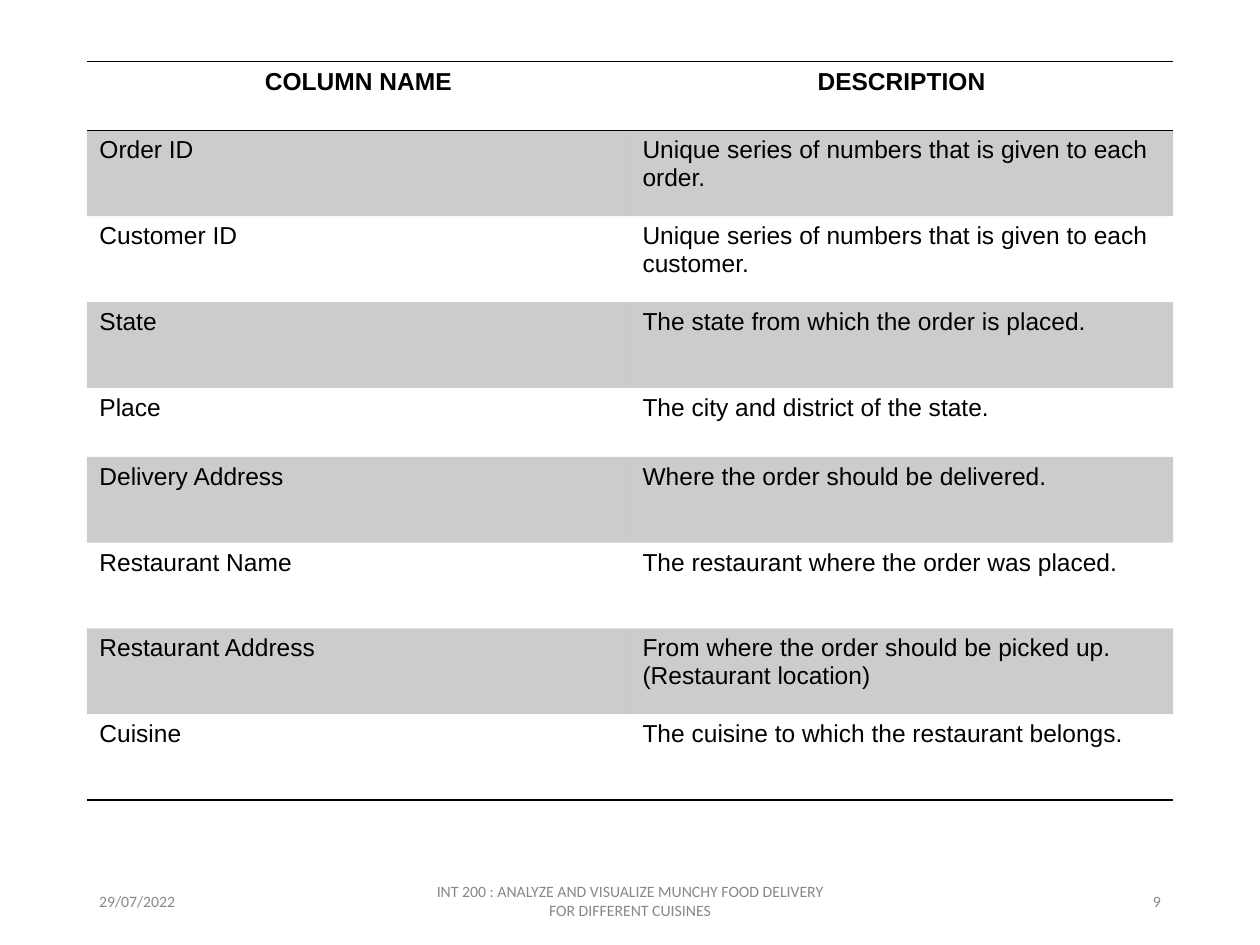
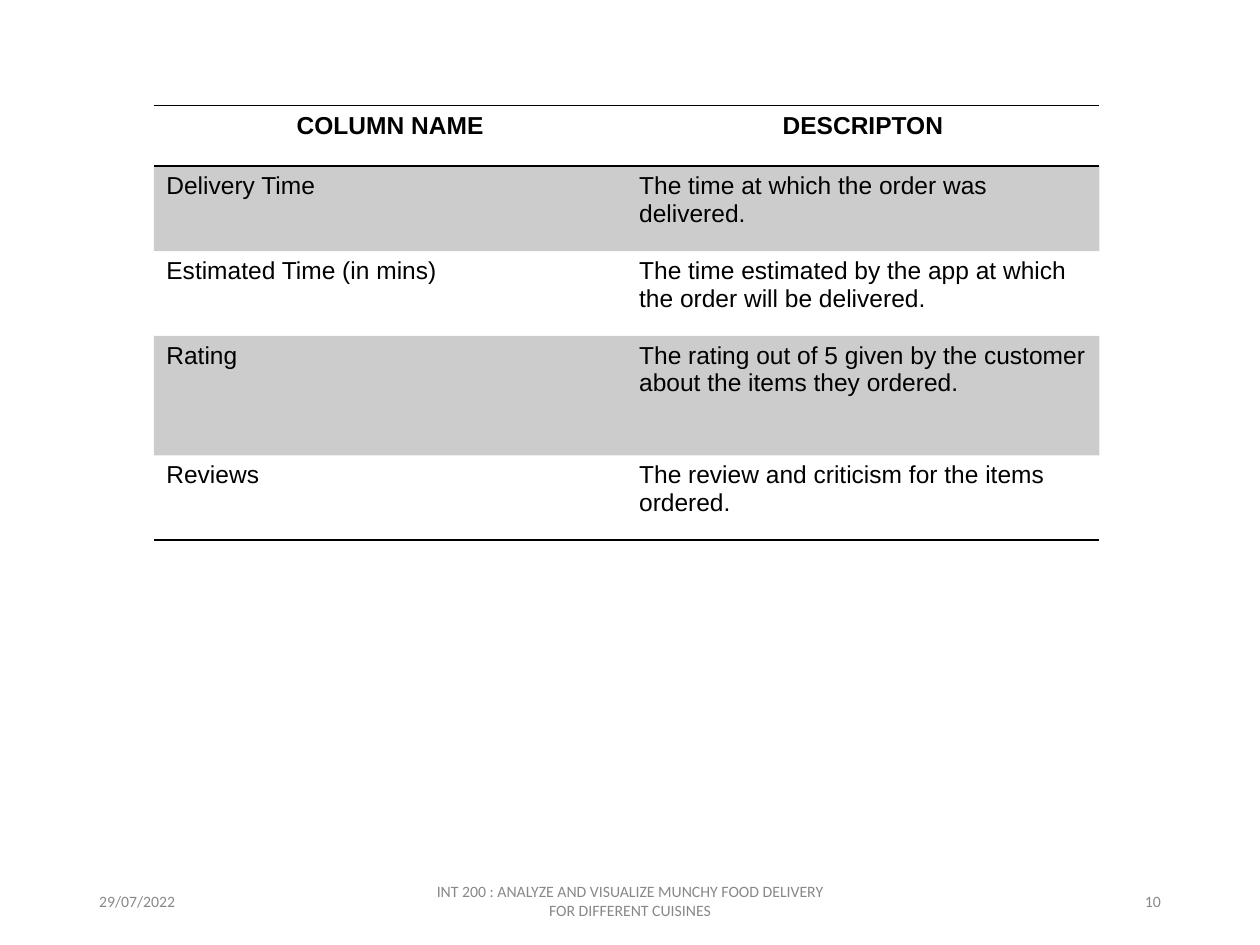
from lxml.etree import SubElement
from pptx import Presentation
from pptx.dml.color import RGBColor
from pptx.enum.text import MSO_ANCHOR, PP_ALIGN
from pptx.oxml.ns import qn
from pptx.util import Cm, Pt

INK = "000000"
FOOTER_GREY = "888888"
BAND_OPACITY = 20
PLAIN_TABLE_STYLE = "{2D5ABB26-0587-4C30-8999-92F81FD0307C}"
PROJECT = "INT 200 : ANALYZE AND VISUALIZE MUNCHY FOOD DELIVERY FOR DIFFERENT CUISINES"


def color(hex_code):
    return RGBColor.from_string(hex_code)


def add_rule(cell, edge):
    line = SubElement(cell._tc.get_or_add_tcPr(), qn(f"a:{edge}"), w=str(Pt(1)))
    ink = SubElement(line, qn("a:solidFill"))
    SubElement(ink, qn("a:srgbClr"), val=INK)


dictionaries = [
    {
        "page": 9, "left": 1.75, "top": 1.24, "column": 10.95,
        "heights": [1.39, 1.73, 1.73, 1.73, 1.39, 1.73, 1.73, 1.73, 1.73],
        "rows": [
            ("COLUMN NAME", "DESCRIPTION"),
            ("Order ID", "Unique series of numbers that is given to each order."),
            ("Customer ID", "Unique series of numbers that is given to each customer."),
            ("State", "The state from which the order is placed."),
            ("Place", "The city and district of the state."),
            ("Delivery Address", "Where the order should be delivered."),
            ("Restaurant Name", "The restaurant where the order was placed."),
            ("Restaurant Address",
             "From where the order should be picked up.(Restaurant location)"),
            ("Cuisine", "The cuisine to which the restaurant belongs."),
        ],
    },
    {
        "page": 10, "left": 3.1, "top": 2.13, "column": 9.53,
        "heights": [1.22, 1.71, 1.71, 2.41, 1.71],
        "rows": [
            ("COLUMN NAME", "DESCRIPTON"),
            ("Delivery Time", "The time at which the order was delivered."),
            ("Estimated Time (in mins)",
             "The time estimated by the app at which the order will be delivered."),
            ("Rating",
             "The rating out of 5 given by the customer about the items they ordered."),
            ("Reviews", "The review and criticism for the items ordered."),
        ],
    },
]

deck = Presentation()
deck.slide_width, deck.slide_height = Cm(25.4), Cm(19.05)

for dictionary in dictionaries:
    slide = deck.slides.add_slide(deck.slide_layouts[6])

    footers = [
        ("29/07/2022", 1.75, 5.72, PP_ALIGN.LEFT),
        (PROJECT, 8.41, 8.58, PP_ALIGN.CENTER),
        (str(dictionary["page"]), 17.93, 5.72, PP_ALIGN.RIGHT),
    ]
    for words, left, width, alignment in footers:
        footer = slide.shapes.add_textbox(Cm(left), Cm(17.66), Cm(width), Cm(1.01)).text_frame
        footer.word_wrap = True
        footer.vertical_anchor = MSO_ANCHOR.MIDDLE
        footer.text = words
        paragraph = footer.paragraphs[0]
        paragraph.alignment = alignment
        paragraph.font.name = "Calibri"
        paragraph.font.size = Pt(9)
        paragraph.font.color.rgb = color(FOOTER_GREY)

    rows, heights = dictionary["rows"], dictionary["heights"]
    table = slide.shapes.add_table(
        len(rows), 2, Cm(dictionary["left"]), Cm(dictionary["top"]),
        Cm(2 * dictionary["column"]), Cm(sum(heights))).table
    table._tbl.tblPr.find(qn("a:tableStyleId")).text = PLAIN_TABLE_STYLE
    table.horz_banding = False
    for column in table.columns:
        column.width = Cm(dictionary["column"])

    for number, (entry, height) in enumerate(zip(rows, heights)):
        is_header = number == 0
        table.rows[number].height = Cm(height)
        for cell, words in zip(table.rows[number].cells, entry):
            cell.text = words
            paragraph = cell.text_frame.paragraphs[0]
            paragraph.alignment = PP_ALIGN.CENTER if is_header else PP_ALIGN.LEFT
            paragraph.font.name = "Arial"
            paragraph.font.size = Pt(14)
            paragraph.font.bold = is_header
            paragraph.font.color.rgb = color(INK)
            if is_header:
                add_rule(cell, "lnT")
            if is_header or number == len(rows) - 1:
                add_rule(cell, "lnB")
            if number % 2:
                cell.fill.solid()
                cell.fill.fore_color.rgb = color(INK)
                band = cell._tc.tcPr.find(qn("a:solidFill")).find(qn("a:srgbClr"))
                SubElement(band, qn("a:alpha"), val=str(BAND_OPACITY * 1000))
            else:
                cell.fill.background()

deck.save("out.pptx")
